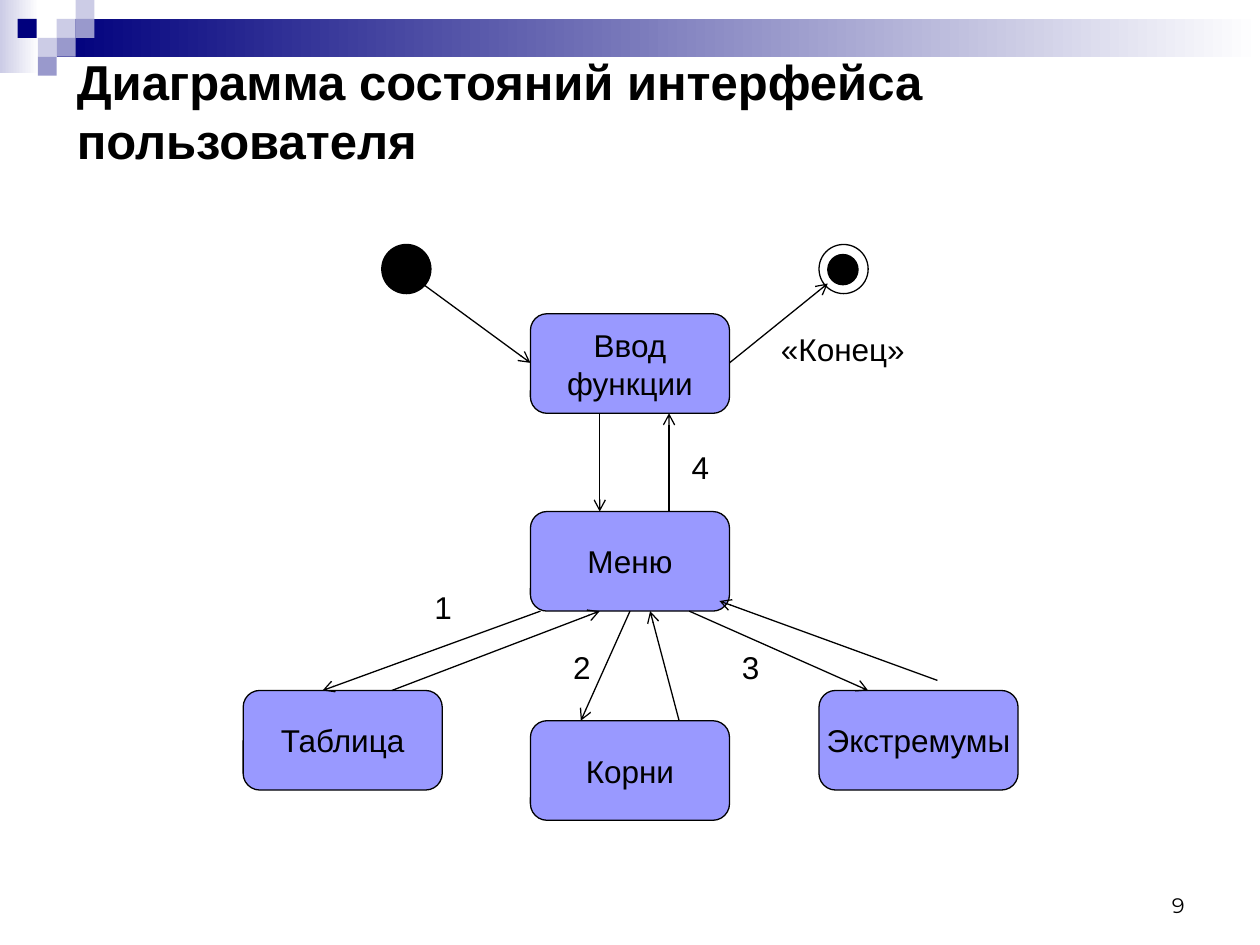
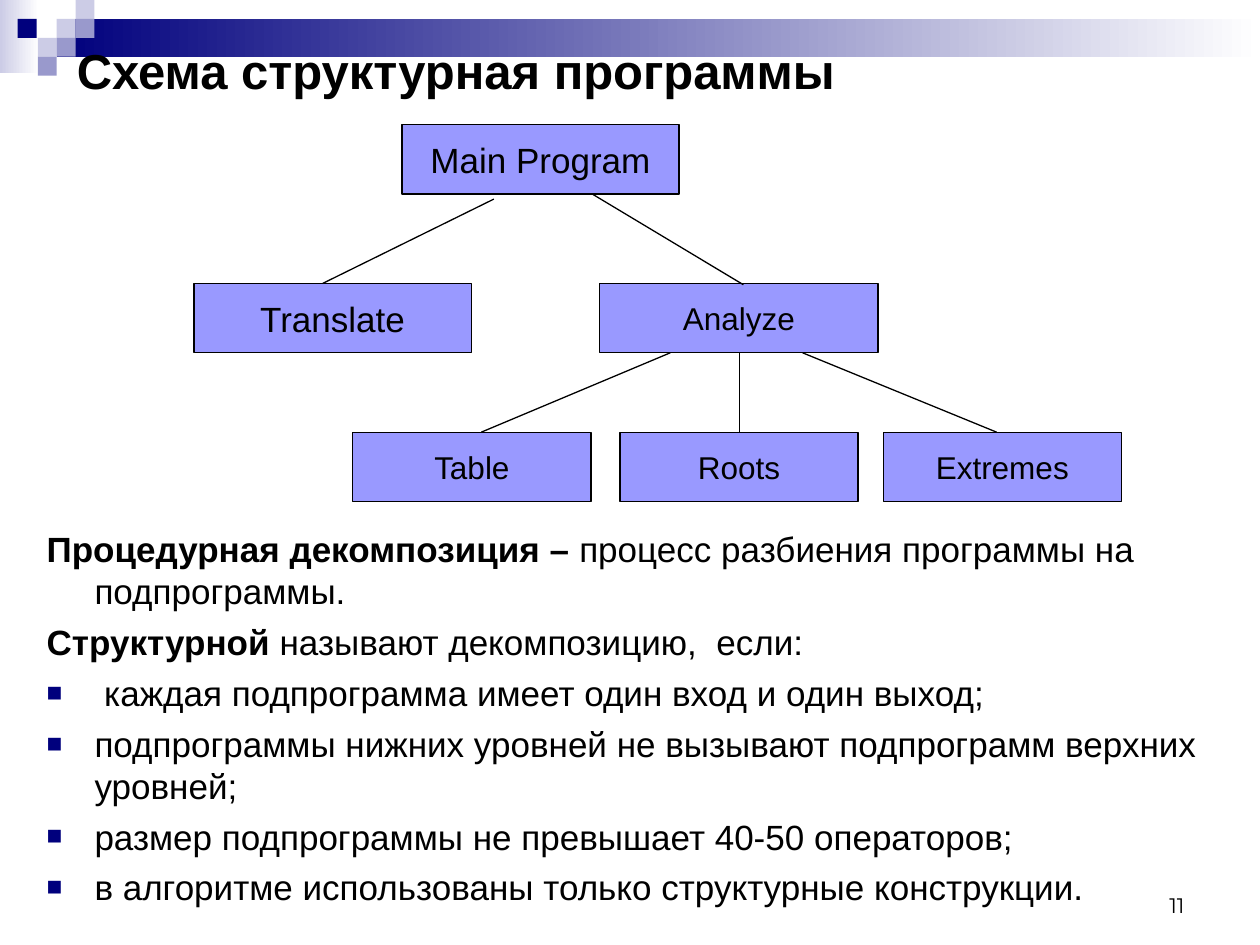
from lxml import etree
from pptx import Presentation
from pptx.dml.color import RGBColor
from pptx.enum.shapes import MSO_CONNECTOR, MSO_SHAPE
from pptx.enum.text import MSO_ANCHOR, MSO_AUTO_SIZE, PP_ALIGN
from pptx.oxml.ns import qn
from pptx.util import Inches, Pt

NAVY = RGBColor(0x00, 0x00, 0x7D)
LAVENDER = RGBColor(0xCC, 0xCC, 0xE6)
MAUVE = RGBColor(0x99, 0x99, 0xCC)
BOX_FILL = RGBColor(0x99, 0x99, 0xFF)
BLACK = RGBColor(0x00, 0x00, 0x00)
WHITE = RGBColor(0xFF, 0xFF, 0xFF)
FONT = "Arial"


def add_box(s, kind, x, y, w, h, fill=None, text="", size=18, outline=True):
    """Add a preset shape with optional centred text."""
    sp = s.shapes.add_shape(kind, Inches(x), Inches(y), Inches(w), Inches(h))
    sp.shadow.inherit = False
    if fill is None:
        sp.fill.background()
    else:
        sp.fill.solid()
        sp.fill.fore_color.rgb = fill
    if outline:
        sp.line.color.rgb = BLACK
        sp.line.width = Pt(0.75)
    else:
        sp.line.fill.background()
    if text:
        tf = sp.text_frame
        tf.text = text
        tf.word_wrap = False
        tf.vertical_anchor = MSO_ANCHOR.MIDDLE
        for p in tf.paragraphs:
            p.alignment = PP_ALIGN.CENTER
            p.font.name, p.font.size = FONT, Pt(size)
            p.font.color.rgb = BLACK
    return sp


def add_line(s, x1, y1, x2, y2, arrow=False):
    """Add a thin black line, with an open arrowhead at its end if asked."""
    cxn = s.shapes.add_connector(MSO_CONNECTOR.STRAIGHT, Inches(x1), Inches(y1),
                                 Inches(x2), Inches(y2))
    cxn.line.color.rgb = BLACK
    cxn.line.width = Pt(0.75)
    if arrow:
        etree.SubElement(cxn.line._get_or_add_ln(), qn("a:tailEnd"), type="arrow")
    etree.SubElement(cxn._element.spPr, qn("a:effectLst"))


prs = Presentation()
prs.slide_width, prs.slide_height = Inches(10), Inches(7.5)
states = prs.slides.add_slide(prs.slide_layouts[5])
structure = prs.slides.add_slide(prs.slide_layouts[1])

# Shared band: gradients and small squares, moved to the master
band = []
for x, y, w, h, color in [(0, 0, 0.31, 0.58, LAVENDER), (0.45, 0.15, 9.55, 0.3, NAVY)]:
    sp = add_box(states, MSO_SHAPE.RECTANGLE, x, y, w, h, color, outline=False)
    sp.fill.gradient()
    sp.fill.gradient_angle = 0
    for stop, rgb, position in zip(sp.fill.gradient_stops, (color, WHITE), (0, 1)):
        stop.color.rgb = rgb
        stop.position = position
    band.append(sp)
for x, y, color in [(0.45, 0.15, LAVENDER), (0.6, 0, LAVENDER), (0.6, 0.15, MAUVE),
                    (0.3, 0.3, LAVENDER), (0.14, 0.15, NAVY), (0.45, 0.3, MAUVE),
                    (0.3, 0.45, MAUVE)]:
    band.append(add_box(states, MSO_SHAPE.RECTANGLE, x, y, 0.15, 0.15, color, outline=False))
for sp in band:
    prs.slide_master.shapes.element.append(sp.element)

# Titles and page numbers
for s, title, y, h, number in [
    (states, "Диаграмма состояний интерфейса\vпользователя", 0.52, 0.71, "9"),
    (structure, "Схема структурная программы", 0.36, 0.39, "11"),
]:
    sp = s.shapes.title
    sp.left, sp.top, sp.width, sp.height = Inches(0.51), Inches(y), Inches(9.21), Inches(h)
    tf = sp.text_frame
    tf.text = title
    tf.auto_size = MSO_AUTO_SIZE.NONE
    tf.vertical_anchor = MSO_ANCHOR.MIDDLE
    p = tf.paragraphs[0]
    p.alignment = PP_ALIGN.LEFT
    p.font.name, p.font.size, p.font.bold = FONT, Pt(28), True
    p.font.color.rgb = BLACK

    tf = s.shapes.add_textbox(Inches(7.17), Inches(6.83), Inches(2.33), Inches(0.5)).text_frame
    tf.word_wrap = True
    tf.vertical_anchor = MSO_ANCHOR.BOTTOM
    p = tf.paragraphs[0]
    p.text = number
    p.alignment = PP_ALIGN.RIGHT
    p.font.name, p.font.size = "Montserrat", Pt(12)
    p.font.color.rgb = BLACK

# Slide 1: states
for text, x, y in [("Ввод\nфункции", 4.21, 2.49), ("Меню", 4.21, 4.06),
                   ("Таблица", 1.93, 5.48), ("Корни", 4.21, 5.72),
                   ("Экстремумы", 6.5, 5.48)]:
    add_box(states, MSO_SHAPE.ROUNDED_RECTANGLE, x, y, 1.58, 0.79, BOX_FILL, text)

# Start and end markers
for x, y, d, fill in [(3.03, 1.94, 0.39, BLACK), (6.5, 1.94, 0.39, None),
                      (6.57, 2.02, 0.24, BLACK)]:
    add_box(states, MSO_SHAPE.OVAL, x, y, d, d, fill)

# Transitions
for ends in [(3.35, 2.25, 4.21, 2.88), (5.79, 2.88, 6.57, 2.25),
             (4.76, 3.28, 4.76, 4.06), (5.31, 4.06, 5.31, 3.28),
             (4.29, 4.85, 2.56, 5.48), (3.11, 5.48, 4.76, 4.85),
             (5, 4.85, 4.61, 5.72), (5.39, 5.72, 5.16, 4.85),
             (5.47, 4.85, 6.89, 5.48), (7.44, 5.4, 5.71, 4.77)]:
    add_line(states, *ends, arrow=True)

# Transition labels
for text, x, y, w in [("1", 3.35, 4.62, 0.24), ("2", 4.45, 5.09, 0.24),
                      ("3", 5.79, 5.09, 0.24), ("4", 5.39, 3.51, 0.39),
                      ("«Конец»", 6.1, 2.57, 1.34)]:
    tf = states.shapes.add_textbox(Inches(x), Inches(y), Inches(w), Inches(0.4)).text_frame
    tf.word_wrap = True
    p = tf.paragraphs[0]
    p.text = text
    p.font.name, p.font.size = FONT, Pt(18)
    p.font.color.rgb = BLACK

# Slide 2: program modules
for text, x, y, w, size in [("Main Program", 3.19, 0.99, 2.2, 20),
                            ("Translate", 1.54, 2.25, 2.2, 20),
                            ("Analyze", 4.76, 2.25, 2.21, 18),
                            ("Table", 2.8, 3.43, 1.89, 18),
                            ("Roots", 4.92, 3.43, 1.89, 18),
                            ("Extremes", 7.01, 3.43, 1.89, 18)]:
    add_box(structure, MSO_SHAPE.RECTANGLE, x, y, w, 0.55, BOX_FILL, text, size)

# Calls between modules
for ends in [(3.92, 1.58, 2.56, 2.25), (4.7, 1.54, 5.9, 2.26), (3.82, 3.43, 5.32, 2.8),
             (5.87, 3.43, 5.87, 2.8), (7.91, 3.43, 6.37, 2.8)]:
    add_line(structure, *ends)

# Definitions: bold lead, plain text, bulleted or not
body = structure.placeholders[1]
body.left, body.top, body.width, body.height = Inches(0.27), Inches(4.14), Inches(9.45), Inches(3.36)
tf = body.text_frame
tf.auto_size = MSO_AUTO_SIZE.NONE
for i, (lead, text, bulleted) in enumerate([
    ("Процедурная декомпозиция – ", "процесс разбиения программы на подпрограммы.", False),
    ("Структурной ", "называют декомпозицию,  если:", False),
    ("", " каждая подпрограмма имеет один вход и один выход;", True),
    ("", "подпрограммы нижних уровней не вызывают подпрограмм верхних уровней;", True),
    ("", "размер подпрограммы не превышает 40-50 операторов;", True),
    ("", "в алгоритме использованы только структурные конструкции.", True),
]):
    p = tf.add_paragraph() if i else tf.paragraphs[0]
    p.space_before = Pt(5)
    p.font.name, p.font.size = FONT, Pt(20)
    p.font.color.rgb = BLACK
    if lead:
        r = p.add_run()
        r.text = lead
        r.font.bold = True
    p.add_run().text = text

    pPr = p._p.get_or_add_pPr()
    pPr.set("marL", str(Inches(0.38)))
    pPr.set("indent", str(Inches(-0.38)))
    bullet = []
    if bulleted:
        color = etree.Element(qn("a:buClr"))
        etree.SubElement(color, qn("a:srgbClr"), val=str(NAVY))
        bullet = [color, etree.Element(qn("a:buSzPct"), val="75000"),
                  etree.Element(qn("a:buFont"), typeface=FONT),
                  etree.Element(qn("a:buChar"), char="■")]
    else:
        bullet = [etree.Element(qn("a:buNone"))]
    for el in bullet:
        pPr.find(qn("a:defRPr")).addprevious(el)

prs.save("out.pptx")
